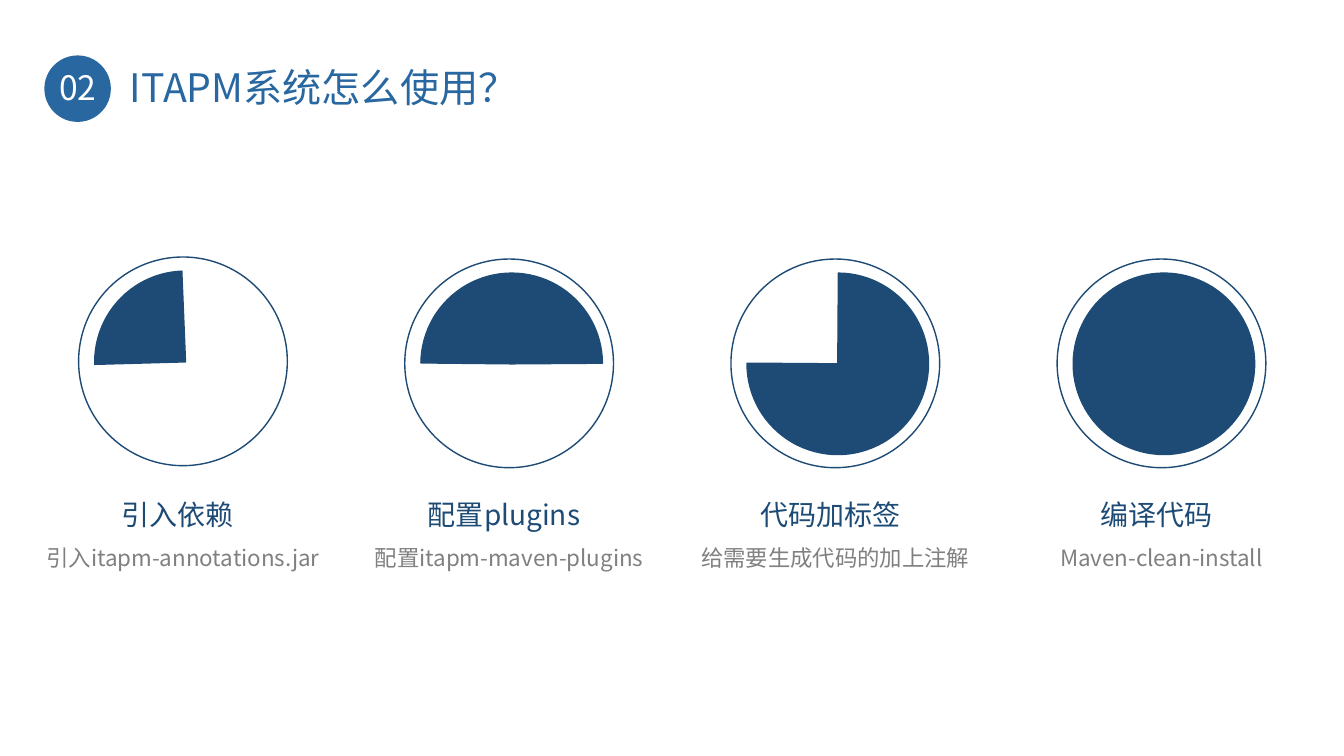
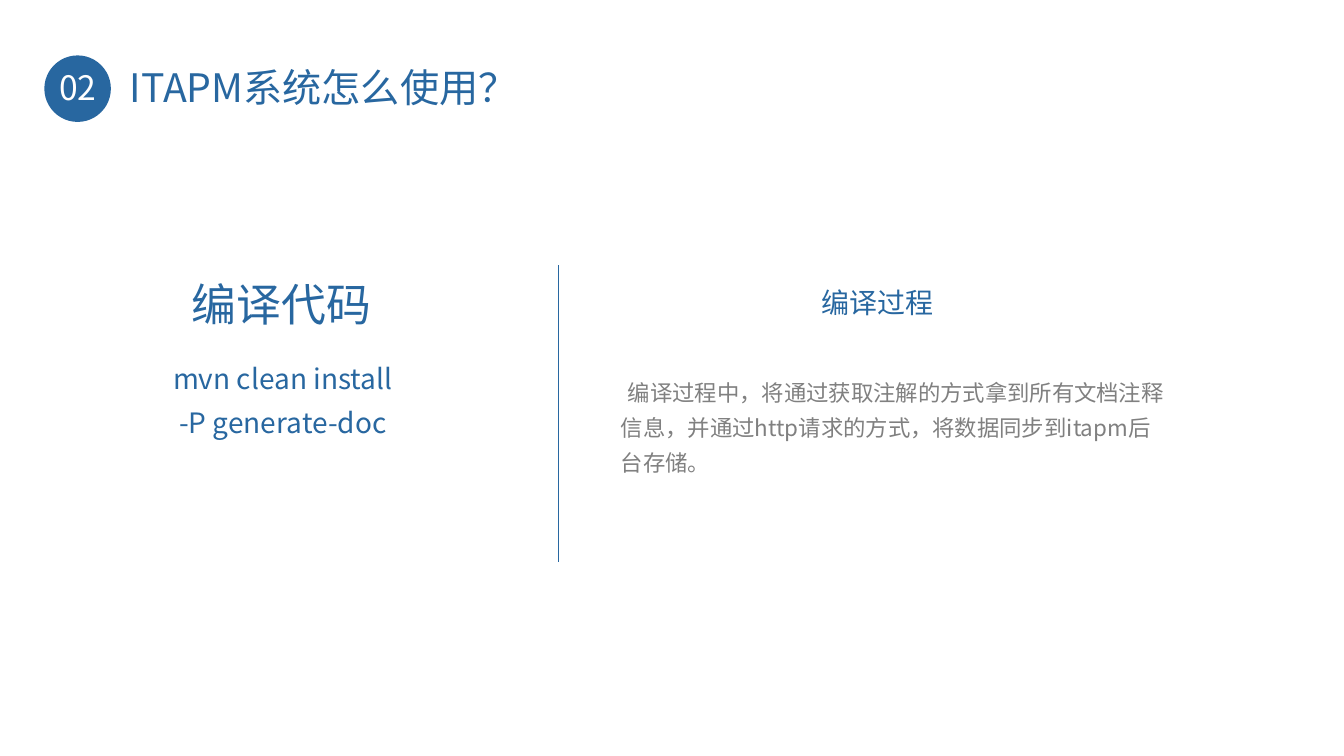
"""Build two slides on using the ITAPM system."""
import pptx
import pptx.dml.color
import pptx.enum.shapes
import pptx.enum.text
import pptx.oxml
import pptx.oxml.ns
import pptx.util

Inches, Pt = pptx.util.Inches, pptx.util.Pt
RGBColor = pptx.dml.color.RGBColor
SHAPE = pptx.enum.shapes.MSO_SHAPE
ALIGN = pptx.enum.text.PP_ALIGN
AUTO_SIZE = pptx.enum.text.MSO_AUTO_SIZE
qn = pptx.oxml.ns.qn

BLUE = RGBColor(0x28, 0x67, 0xA0)
NAVY = RGBColor(0x1D, 0x4B, 0x75)
GRAY = RGBColor(0x80, 0x80, 0x80)
WHITE = RGBColor(0xFF, 0xFF, 0xFF)
FONT = "Noto Sans CJK SC"

NUMBER = "02"
TITLE = "ITAPM系统怎么使用？"
STEPS = [
    ("引入依赖", "引入itapm-annotations.jar", (178.4, 267.7), 2.55),
    ("配置plugins", "配置itapm-maven-plugins", (180.6, 359.6), 2.57),
    ("代码加标签", "给需要生成代码的加上注解", (270.4, 180.4), 2.57),
    ("编译代码", "Maven-clean-install", (143.9, 143.25), 2.57),
]
COMMAND_TITLE = "编译代码"
COMMAND = ["mvn clean install", "-P generate-doc"]
PROCESS_TITLE = "编译过程"
PROCESS = ("编译过程中，将通过获取注解的方式拿到所有文档注释信息，"
           "并通过http请求的方式，将数据同步到itapm后台存储。")

LEFT, PITCH = 0.36, 3.235
RING, PIE = 2.07, 1.8


def add_text(s, box, lines, size, color, align=ALIGN.CENTER, spacing=1.3, wrap=True, indent=0):
    tf = s.shapes.add_textbox(*map(Inches, box)).text_frame
    tf.word_wrap = wrap
    tf.auto_size = AUTO_SIZE.SHAPE_TO_FIT_TEXT
    for i, line in enumerate(lines):
        p = tf.add_paragraph() if i else tf.paragraphs[0]
        p.text = line
        p.alignment = align
        p.line_spacing = spacing
        p.font.size = Pt(size)
        p.font.color.rgb = color
        p.font.name = FONT
        ea = pptx.oxml.parse_xml(
            '<a:ea xmlns:a="http://schemas.openxmlformats.org/drawingml/2006/main" '
            f'typeface="{FONT}"/>')
        p._p.pPr.find(qn("a:defRPr")).append(ea)
        if indent:
            p._p.pPr.set("indent", str(Inches(indent)))


def add_round(s, kind, x, y, size, fill=None, line=None):
    sp = s.shapes.add_shape(kind, *map(Inches, (x, y, size, size)))
    sp.shadow.inherit = False
    if fill is None:
        sp.fill.background()
    else:
        sp.fill.solid()
        sp.fill.fore_color.rgb = fill
    if line is None:
        sp.line.fill.background()
    else:
        sp.line.color.rgb = line
        sp.line.width = Pt(1)
    return sp


def add_slide(prs):
    s = prs.slides.add_slide(prs.slide_layouts[6])
    add_round(s, SHAPE.OVAL, 0.44, 0.55, 0.66, BLUE)
    add_text(s, (0.49, 0.61, 0.58, 0.5), [NUMBER], 24, WHITE, ALIGN.LEFT, 1.0, False)
    add_text(s, (1.19, 0.58, 4.12, 0.57), [TITLE], 28, BLUE, ALIGN.LEFT, 1.0, False)
    return s


def build_steps(prs):
    s = add_slide(prs)
    for i, (name, detail, angles, top) in enumerate(STEPS):
        x = LEFT + i * PITCH
        add_text(s, (x, 5.27, 2.91, 0.44), [detail], 16, GRAY)
        add_text(s, (x, 4.79, 2.81, 0.52), [name], 20, NAVY)
        pie = add_round(s, SHAPE.PIE, x + 0.58, top + 0.14, PIE, NAVY, NAVY)
        for j, angle in enumerate(angles):
            pie.adjustments[j] = angle * 0.6
        add_round(s, SHAPE.OVAL, x + 0.42, top, RING, line=NAVY)


def build_compile(prs):
    s = add_slide(prs)
    add_text(s, (1.79, 2.54, 2, 0.77), [COMMAND_TITLE], 32, BLUE, wrap=False)
    add_text(s, (1.15, 3.44, 3.31, 0.96), COMMAND, 20, BLUE)
    add_text(s, (7.05, 2.68, 3.31, 0.54), [PROCESS_TITLE], 20, BLUE)
    add_text(s, (6.06, 3.63, 5.67, 1.49), [PROCESS], 16, GRAY, ALIGN.LEFT, indent=0.07)
    divider = s.shapes.add_connector(
        pptx.enum.shapes.MSO_CONNECTOR.STRAIGHT, *map(Inches, (5.54, 2.63, 5.54, 5.58)))
    divider.line.color.rgb = BLUE
    divider.line.width = Pt(1)
    divider._element.spPr.append(pptx.oxml.parse_xml(
        '<a:effectLst xmlns:a="http://schemas.openxmlformats.org/drawingml/2006/main"/>'))


def main():
    prs = pptx.Presentation()
    prs.slide_width, prs.slide_height = Inches(13.33), Inches(7.5)
    build_steps(prs)
    build_compile(prs)
    prs.save("out.pptx")


if __name__ == "__main__":
    main()
